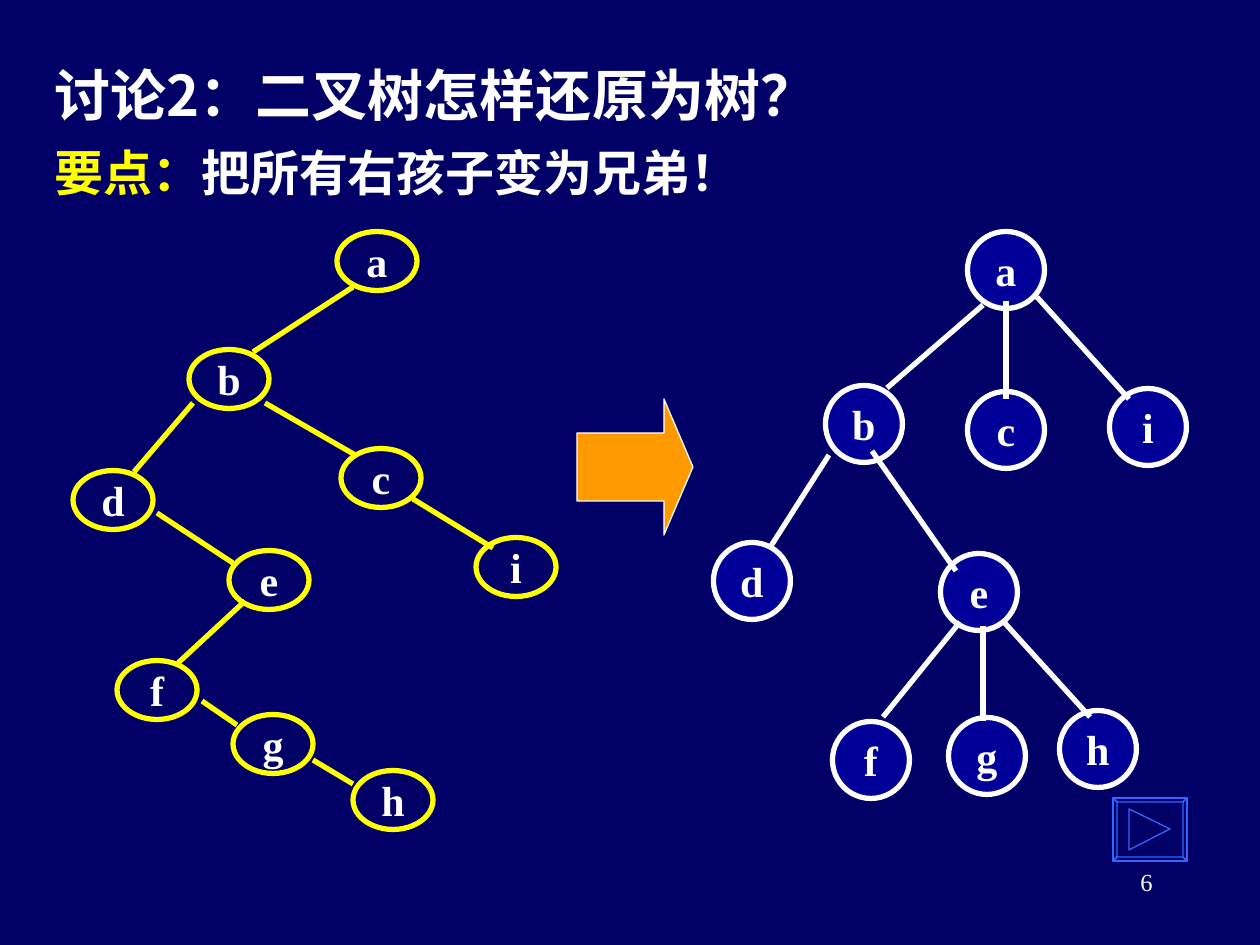
from dataclasses import dataclass

from lxml import etree
from pptx import Presentation
from pptx.dml.color import RGBColor
from pptx.enum.shapes import MSO_CONNECTOR, MSO_SHAPE
from pptx.enum.text import MSO_ANCHOR, MSO_AUTO_SIZE, PP_ALIGN
from pptx.oxml.ns import qn
from pptx.util import Pt

ELLIPSE, RIGHT_ARROW = MSO_SHAPE.OVAL, MSO_SHAPE.RIGHT_ARROW
STRAIGHT = MSO_CONNECTOR.STRAIGHT
TOP, MIDDLE = MSO_ANCHOR.TOP, MSO_ANCHOR.MIDDLE
LEFT, CENTER, RIGHT = PP_ALIGN.LEFT, PP_ALIGN.CENTER, PP_ALIGN.RIGHT
TITLE_ONLY = 5


@dataclass(frozen=True)
class Theme:
    background: str = "000066"
    white: str = "FFFFFF"
    yellow: str = "FFFF00"
    node_fill: str = "000099"
    arrow_fill: str = "FF9900"
    button: str = "3366FF"
    chinese: str = "Noto Sans CJK SC"
    latin: str = "Times New Roman"
    title_size: int = 32
    point_size: int = 28
    node_size: int = 24
    number_size: int = 14
    thick: float = 3
    thin: float = 0.75


THEME = Theme()

# Node centres and edge ends, in px
BINARY_NODES = {
    "a": (377, 261), "b": (229, 379), "c": (381, 478), "d": (113, 500), "e": (269, 580),
    "f": (157, 690), "g": (273, 744), "h": (393, 800), "i": (516, 567),
}
BINARY_EDGES = [
    (353, 287, 253, 352), (193, 403, 134, 472), (265, 403, 357, 456), (413, 499, 493, 548),
    (157, 513, 233, 563), (245, 601, 178, 663), (202, 701, 237, 725), (313, 760, 353, 784),
]
TREE_NODES = {
    "a": (1006, 270), "b": (864, 424), "c": (1006, 430), "i": (1148, 427), "d": (752, 581),
    "e": (979, 592), "f": (871, 760), "g": (987, 756), "h": (1098, 749),
}
TREE_EDGES = [
    (983, 305, 887, 388), (1006, 301, 1006, 399), (1037, 297, 1129, 399),
    (829, 455, 771, 546), (872, 451, 956, 571),
    (960, 622, 883, 717), (983, 626, 983, 721), (1002, 620, 1090, 717),
]


def px(*lengths):
    return [round(length * 914400 / 126) for length in lengths]


def rgb(color):
    return RGBColor.from_string(color)


def set_outline(line, color, width):
    line.color.rgb = rgb(color)
    line.width = Pt(width)


def write(frame, runs, size, font, align=LEFT, anchor=TOP, bold=True, wrap=True):
    """Fill a text frame with one paragraph of (text, colour) runs."""
    frame.word_wrap = wrap
    frame.auto_size = MSO_AUTO_SIZE.NONE
    frame.vertical_anchor = anchor
    para = frame.paragraphs[0]
    para.alignment = align
    para.font.size = Pt(size)
    para.font.bold = bold
    para.font.name = font
    for latin in list(para._p.iter(qn("a:latin"))):
        east_asian = etree.Element(qn("a:ea"), typeface=font)
        latin.addnext(east_asian)
    for text, color in runs:
        span = para.add_run()
        span.text = text
        span.font.color.rgb = rgb(color)


def add_text(page, bounds, *args, **options):
    box = page.shapes.add_textbox(*px(*bounds))
    write(box.text_frame, *args, **options)


def add_title(page, text):
    title = page.shapes.title
    title.left, title.top, title.width, title.height = px(42, 42, 872, 105)
    write(title.text_frame, [(text, THEME.white)], THEME.title_size, THEME.chinese, anchor=MIDDLE)


def add_node(shapes, label, center, size, outline, fill):
    (x, y), (width, height) = center, size
    node = shapes.add_shape(ELLIPSE, *px(x - width / 2, y - height / 2, width, height))
    node.shadow.inherit = False
    if fill:
        node.fill.solid()
        node.fill.fore_color.rgb = rgb(fill)
    else:
        node.fill.background()
    set_outline(node.line, outline, THEME.thick)
    write(node.text_frame, [(label, THEME.white)], THEME.node_size, THEME.latin,
          align=CENTER, anchor=MIDDLE, wrap=False)


def add_edge(shapes, ends, color):
    edge = shapes.add_connector(STRAIGHT, *px(*ends))
    set_outline(edge.line, color, THEME.thick)
    etree.SubElement(edge._element.spPr, qn("a:effectLst"))


def add_tree(page, nodes, edges, size, outline, fill=None):
    shapes = page.shapes.add_group_shape().shapes
    for label, center in nodes.items():
        add_node(shapes, label, center, size, outline, fill)
    for ends in edges:
        add_edge(shapes, ends, outline)


def add_arrow(page):
    arrow = page.shapes.add_shape(RIGHT_ARROW, *px(577, 399, 116, 136))
    arrow.adjustments[0] = 0.5
    arrow.adjustments[1] = 0.25
    arrow.shadow.inherit = False
    arrow.fill.solid()
    arrow.fill.fore_color.rgb = rgb(THEME.arrow_fill)
    set_outline(arrow.line, THEME.white, THEME.thin)


def add_next_button(page):
    """Draw a bevelled frame around a forward triangle, in outline only."""
    left, top, right, bottom, bevel = 1113, 798, 1187, 861, 4
    outer = [(left, top), (right, top), (right, bottom), (left, bottom)]
    inner = [(left + bevel, top + bevel), (right - bevel, top + bevel),
             (right - bevel, bottom - bevel), (left + bevel, bottom - bevel)]
    bevels = [[outer[i], outer[(i + 1) % 4], inner[(i + 1) % 4], inner[i]] for i in range(4)]
    triangle = [(1129, 809), (1170, 829), (1129, 850)]

    builder = page.shapes.build_freeform(*px(left, top), scale=1.0)
    for index, outline in enumerate([outer, *bevels, triangle]):
        corners = [px(*corner) for corner in outline]
        if index:
            builder.move_to(*corners[0])
        builder.add_line_segments(corners[1:], close=True)
    button = builder.convert_to_shape()
    button.shadow.inherit = False
    button.fill.background()
    set_outline(button.line, THEME.button, THEME.thin)


def main():
    deck = Presentation()
    deck.slide_width, deck.slide_height = px(1260, 945)
    page = deck.slides.add_slide(deck.slide_layouts[TITLE_ONLY])
    page.background.fill.solid()
    page.background.fill.fore_color.rgb = rgb(THEME.background)

    add_text(page, (903, 861, 262, 63), [("6", THEME.white)], THEME.number_size, THEME.latin,
             align=RIGHT, bold=False)
    add_title(page, "讨论2：二叉树怎样还原为树？")
    add_tree(page, BINARY_NODES, BINARY_EDGES, (80, 59), THEME.yellow)
    add_text(page, (42, 136, 725, 81),
             [("要点：", THEME.yellow), ("把所有右孩子变为兄弟！", THEME.white)],
             THEME.point_size, THEME.chinese)
    add_tree(page, TREE_NODES, TREE_EDGES, (77, 77), THEME.white, THEME.node_fill)
    add_arrow(page)
    add_next_button(page)
    deck.save("out.pptx")


if __name__ == "__main__":
    main()
